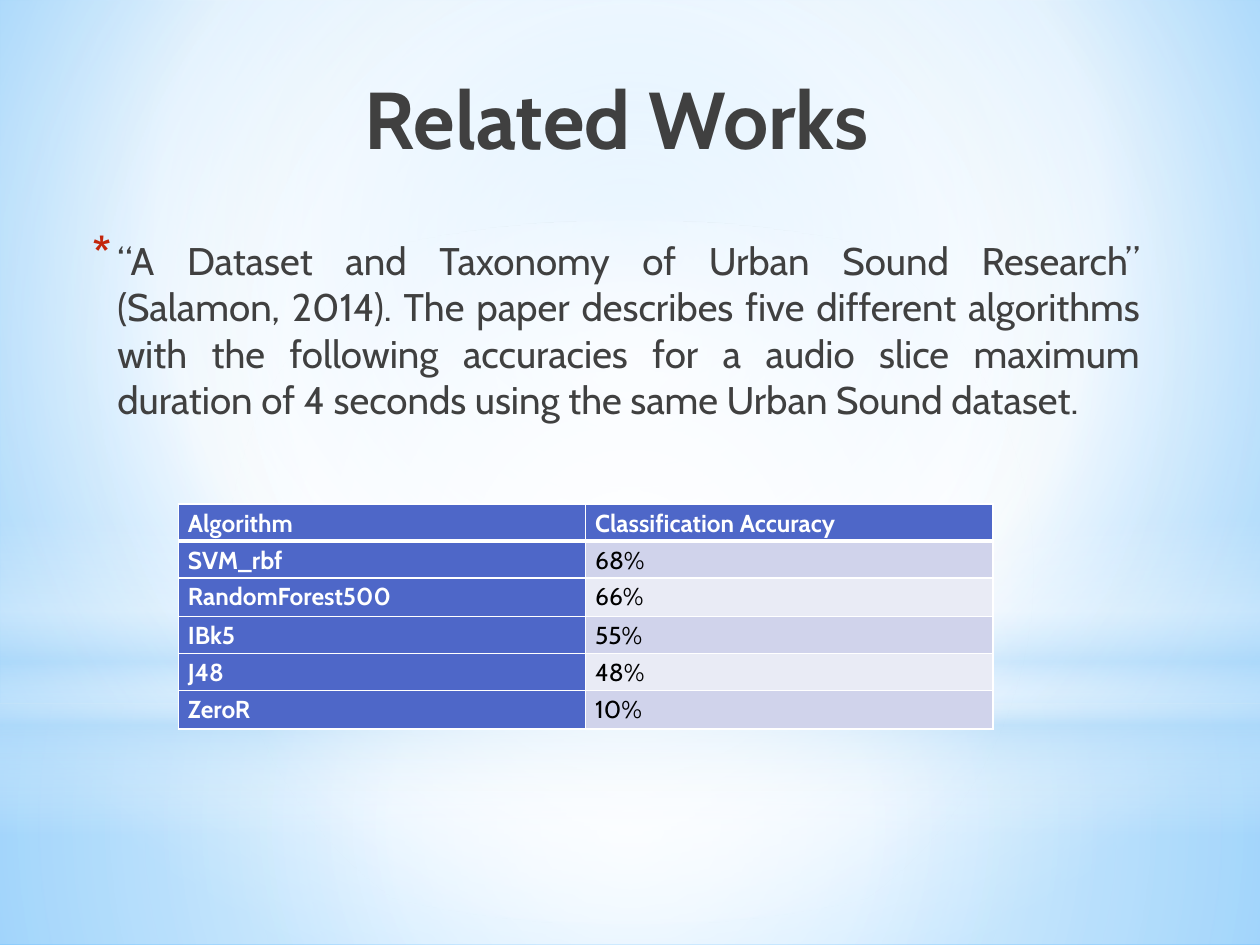
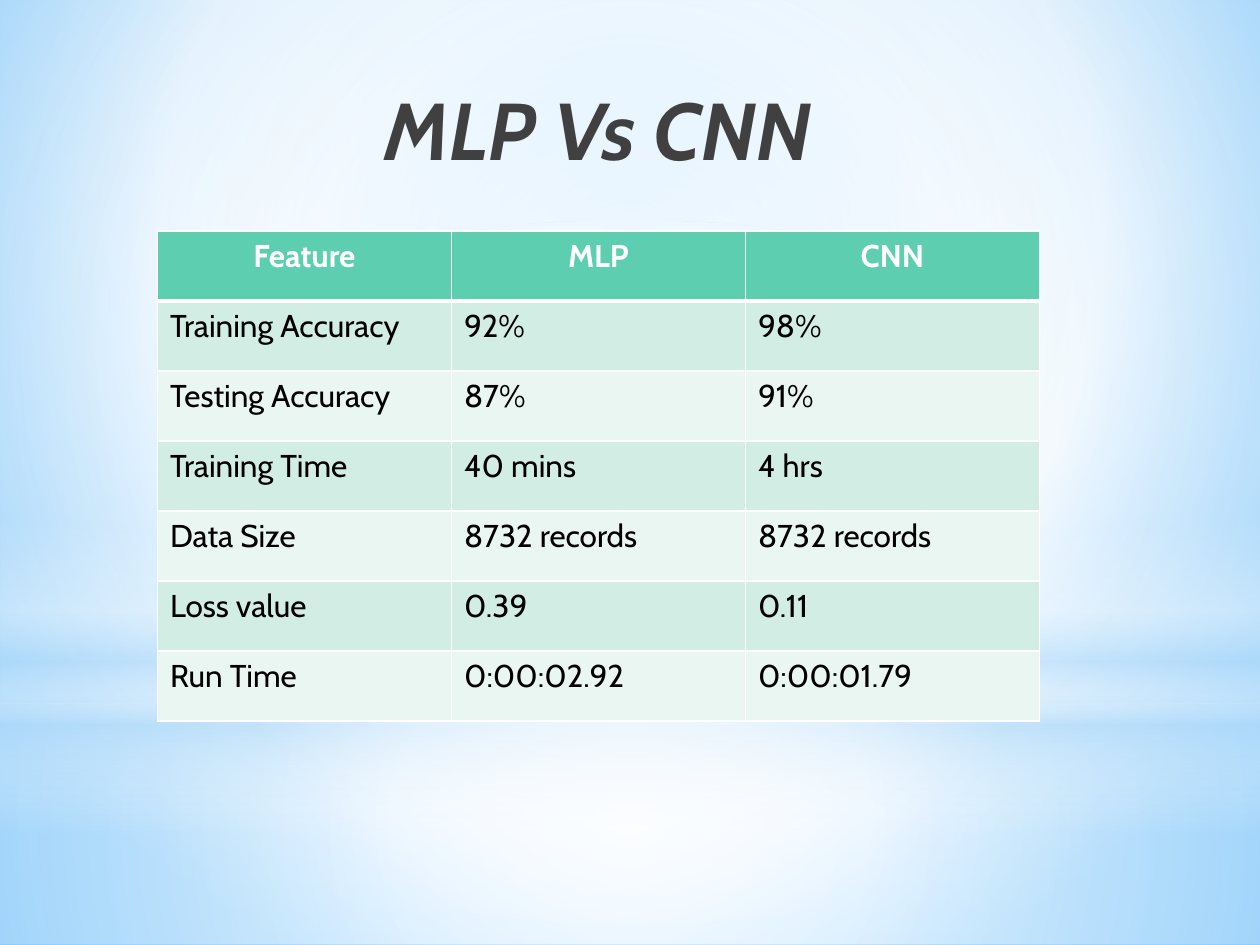
from lxml import etree
from pptx import Presentation
from pptx.dml.color import RGBColor
from pptx.enum import shapes, text
from pptx.oxml import ns
from pptx.util import Pt

FONT = "Cabin"
COLORS = {
    "white": "FFFFFF", "black": "000000", "text": "404040", "bullet": "C3260C",
    "sky": "9ED5FF", "deep_sky": "5BB9FF", "haze": "B4DCFA",
    "blue": "4E67C8", "blue_dark_band": "D0D3EB", "blue_light_band": "E9EBF5",
    "green": "5DCEAF", "green_dark_band": "D2EDE3", "green_light_band": "EAF6F2",
}
ALIGN = text.PP_ALIGN
SLIDE_W, SLIDE_H = 720, 540
HORIZON = 402
CENTRE = (50, 50, 50, 50)

# Each stop is position, colour, opacity, all in percent.
BACKGROUND = [(0, "sky", 100), (60, "white", 100), (100, "deep_sky", 100)]
BACKDROP = [
    ("RECTANGLE", (0, HORIZON, SLIDE_W, SLIDE_H - HORIZON), CENTRE,
     [(0, "white", 91), (37, "white", 76), (100, "haze", 79)]),
    ("RECTANGLE", (0, 0, SLIDE_W, HORIZON), CENTRE,
     [(0, "white", 89), (48, "white", 62), (100, "haze", 79)]),
    ("RECTANGLE", (0, 297, SLIDE_W, 180), None,
     [(0, "white", 0), (29, "white", 30), (45, "haze", 40),
      (55, "white", 26), (65, "haze", 60), (100, "white", 0)]),
    ("OVAL", (0, 126, SLIDE_W, HORIZON), CENTRE,
     [(0, "white", 100), (56, "white", 0)]),
]

ALGORITHMS = [
    ("Algorithm", "Classification Accuracy"),
    ("SVM_rbf", "68%"),
    ("RandomForest500", "66%"),
    ("IBk5", "55%"),
    ("J48", "48%"),
    ("ZeroR", "10%"),
]
COMPARISON = [
    ("Feature", "MLP", "CNN"),
    ("Training Accuracy", "92%", "98%"),
    ("Testing Accuracy", "87%", "91%"),
    ("Training Time", "40 mins", "4 hrs"),
    ("Data Size", "8732 records", "8732 records"),
    ("Loss value", "0.39", "0.11"),
    ("Run Time", "0:00:02.92", "0:00:01.79"),
]


def rgb(name):
    return RGBColor.from_string(COLORS[name])


def points(box):
    return [Pt(v) for v in box]


def child(parent, tag, **attrs):
    el = etree.SubElement(parent, ns.qn(tag))
    for key, value in attrs.items():
        el.set(key, str(value))
    return el


def set_gradient(fill, owner, stops, focus):
    """Fill owner with a circular gradient around focus, or a vertical one without it."""
    fill.solid()
    solid = owner.find(ns.qn("a:solidFill"))
    grad = etree.Element(ns.qn("a:gradFill"), rotWithShape="1")
    stop_list = child(grad, "a:gsLst")
    for position, name, opacity in stops:
        stop = child(stop_list, "a:gs", pos=position * 1000)
        color = child(stop, "a:srgbClr", val=COLORS[name])
        if opacity < 100:
            child(color, "a:alpha", val=opacity * 1000)
    if focus:
        shade = child(grad, "a:path", path="circle")
        child(shade, "a:fillToRect", **{k: v * 1000 for k, v in zip("ltrb", focus)})
    else:
        child(grad, "a:lin", ang=90 * 60000, scaled=0)
    owner.replace(solid, grad)


def write(tf, words, size=18, color="text", bold=False, italic=False,
          align=ALIGN.LEFT, spacing=None):
    tf.word_wrap = True
    p = tf.paragraphs[0]
    p.alignment = align
    if spacing:
        p.line_spacing = spacing
    r = p.add_run()
    r.text = words
    font = r.font
    font.name, font.size, font.bold, font.italic = FONT, Pt(size), bold, italic
    font.color.rgb = rgb(color)
    return p


def add_backdrop(s):
    fill = s.background.fill
    fill.solid()
    set_gradient(fill, s.element.find(".//" + ns.qn("p:bgPr")), BACKGROUND, (20, 10, 20, 60))
    for kind, box, focus, stops in BACKDROP:
        sp = s.shapes.add_shape(shapes.MSO_SHAPE[kind], *points(box))
        sp.shadow.inherit = False
        sp.line.fill.background()
        set_gradient(sp.fill, sp.element.spPr, stops, focus)


def add_title(s, box, words, italic=False):
    tf = s.shapes.add_textbox(*points(box)).text_frame
    write(tf, words, size=46, bold=True, italic=italic, align=ALIGN.CENTER)


def add_bullet_text(s, box, words):
    tf = s.shapes.add_textbox(*points(box)).text_frame
    p = write(tf, words, size=22, align=ALIGN.JUSTIFY)
    p.space_after = Pt(3)
    pPr = p._p.get_or_add_pPr()
    pPr.set("marL", str(Pt(18)))
    pPr.set("indent", str(-Pt(14.4)))
    child(child(pPr, "a:buClr"), "a:srgbClr", val=COLORS["bullet"])
    child(pPr, "a:buSzPct", val=130000)
    child(pPr, "a:buChar", char="*")


def set_borders(cell, top, bottom):
    tcPr = cell._tc.get_or_add_tcPr()
    for side, width in (("L", 1), ("R", 1), ("T", top), ("B", bottom)):
        ln = child(tcPr, "a:ln" + side, w=Pt(width))
        child(child(ln, "a:solidFill"), "a:srgbClr", val=COLORS["white"])


def add_grid(s, box, rows, heights, theme, size=18, align=ALIGN.LEFT,
             header_align=ALIGN.CENTER, header_column=False, spacing=None, insets=None):
    """Table with a header row, banded body rows and equal columns."""
    columns = len(rows[0])
    table = s.shapes.add_table(len(rows), columns, *points(box)).table
    table.horz_banding = False
    for column in table.columns:
        column.width = Pt(box[2] / columns)
    for i, values in enumerate(rows):
        table.rows[i].height = Pt(heights[i])
        band = theme + ("_dark_band" if i % 2 else "_light_band")
        for j, value in enumerate(values):
            cell = table.cell(i, j)
            header = i == 0 or (header_column and j == 0)
            set_borders(cell, top=3 if i == 1 else 1, bottom=3 if i == 0 else 1)
            cell.fill.solid()
            cell.fill.fore_color.rgb = rgb(theme if header else band)
            if insets:
                cell.margin_left = cell.margin_right = Pt(insets[0])
                cell.margin_top = cell.margin_bottom = Pt(insets[1])
            write(cell.text_frame, value, size=size, bold=header,
                  color="white" if header else "black",
                  align=header_align if i == 0 else align, spacing=spacing)


def related_works(s):
    add_title(s, (96, 36, 513, 90), "Related Works")
    add_bullet_text(
        s, (42, 132, 616.5, 274),
        "“A Dataset and Taxonomy of Urban Sound Research” (Salamon, 2014). "
        "The paper describes five different algorithms with the following accuracies "
        "for a audio slice maximum duration of 4 seconds using the same Urban Sound dataset.")
    add_grid(s, (102, 288, 465.4, 128.6), ALGORITHMS, [21.1, 21.1, 22.1] * 2, "blue",
             size=14, align=ALIGN.JUSTIFY, header_align=ALIGN.JUSTIFY,
             header_column=True, spacing=1.15, insets=(5.4, 0))


def mlp_vs_cnn(s):
    add_title(s, (85.5, 42, 513, 90), "MLP Vs CNN", italic=True)
    add_grid(s, (90, 132, 504, 280), COMPARISON, [40] * len(COMPARISON), "green")


def main():
    prs = Presentation()
    prs.slide_width, prs.slide_height = Pt(SLIDE_W), Pt(SLIDE_H)
    for build in (related_works, mlp_vs_cnn):
        s = prs.slides.add_slide(prs.slide_layouts[6])
        add_backdrop(s)
        build(s)
    prs.save("out.pptx")


if __name__ == "__main__":
    main()
